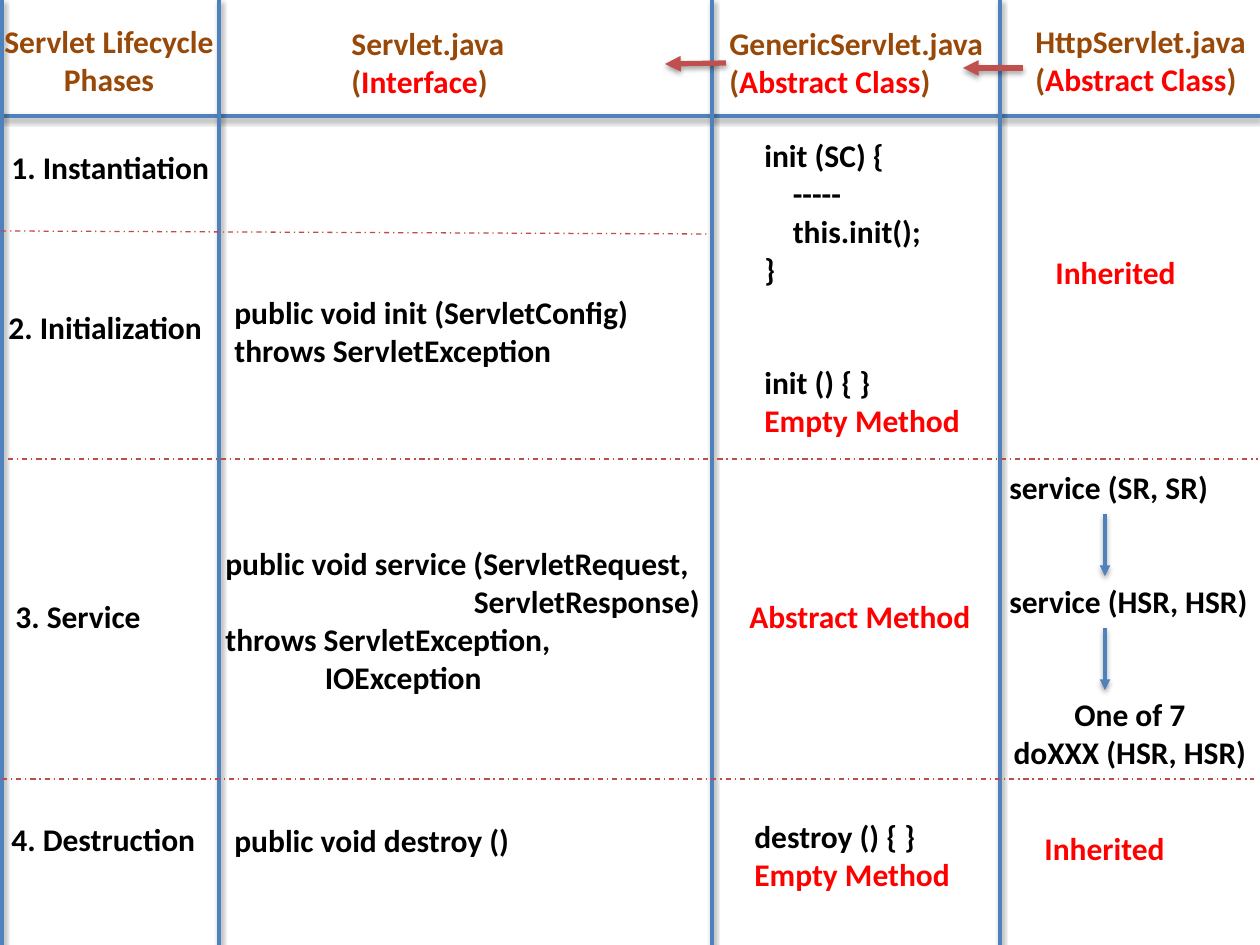
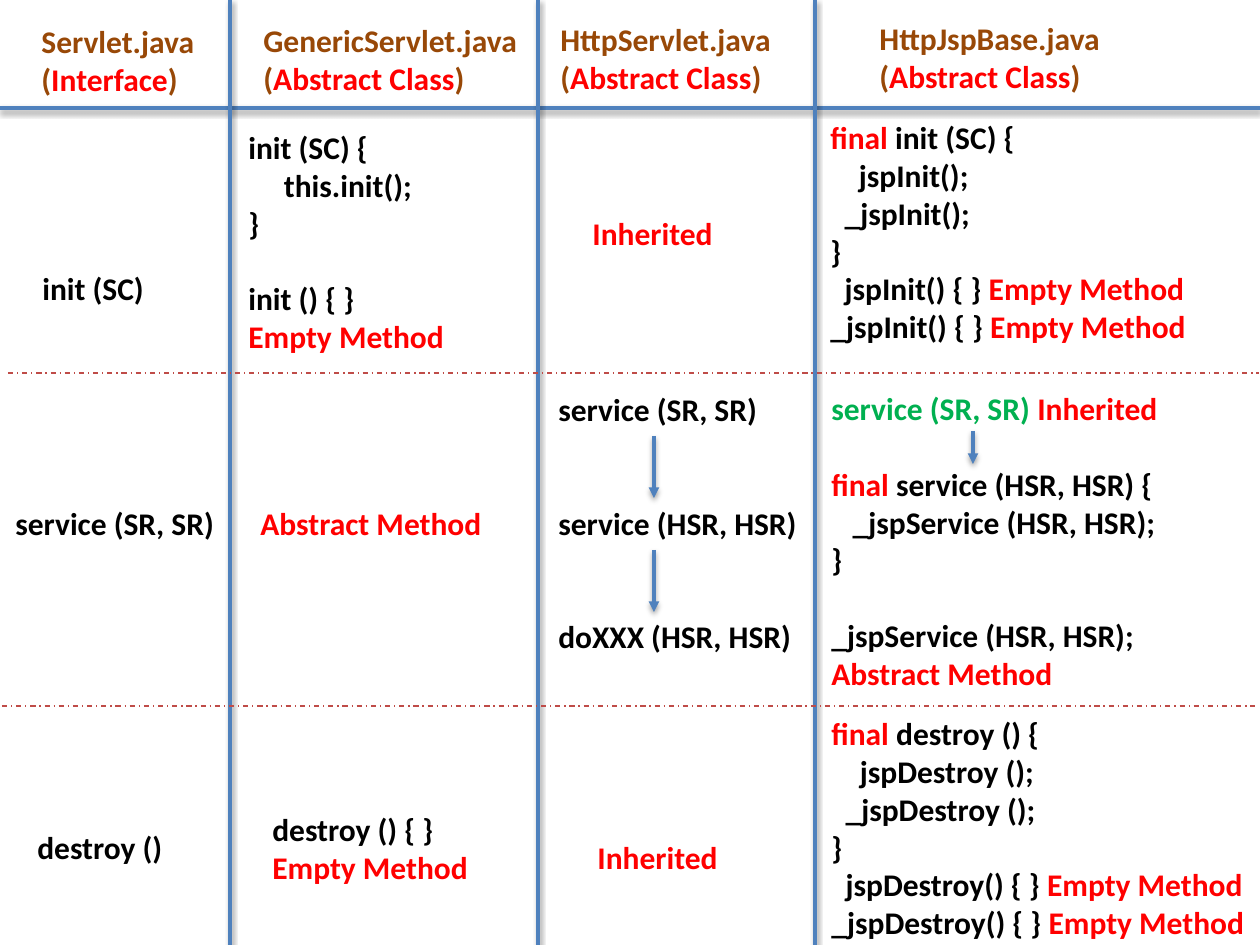
import collections

import lxml.etree
import pptx
import pptx.dml.color
import pptx.enum.dml
import pptx.enum.shapes
import pptx.enum.text
import pptx.oxml
import pptx.oxml.ns
import pptx.util

PX = 914400 / 126
FONT, SIZE = "Calibri", 18
LINE_PX, LINE_PT, SPACE_PX = 38, 21.6, 7.1
BLACK, BROWN, RED, GREEN = "000000", "984807", "FF0000", "00B050"
BLUE, BRICK, DIVIDER = "4F81BD", "C0504D", "BF4C48"
CENTER = pptx.enum.text.PP_ALIGN.CENTER

Box = collections.namedtuple("Box", "x y w h")
Line = collections.namedtuple("Line", "runs indent gap align")


def px(n):
    return pptx.util.Emu(round(n * PX))


def rgb(color):
    return pptx.dml.color.RGBColor.from_string(color)


def line(*runs, indent=0, gap=0, align=None):
    """Runs are plain strings (black) or (text, colour); indent is in spaces, gap in lines."""
    return Line([(r, BLACK) if isinstance(r, str) else r for r in runs], indent, gap, align)


def red(text):
    return text, RED


def grid(columns, rows):
    """Return a function giving the box of a cell by column and row."""
    def cell(c, r):
        return Box(columns[c], rows[r], columns[c + 1] - columns[c], rows[r + 1] - rows[r])
    return cell


def write(s, box, dx, dy, w, *lines):
    """Put lines of text at an offset inside a cell."""
    count = len(lines) + sum(ln.gap for ln in lines)
    tb = s.shapes.add_textbox(px(box.x + dx), px(box.y + dy), px(w), px(count * LINE_PX + 13))
    tf = tb.text_frame
    tf.word_wrap = True
    for i, ln in enumerate(lines):
        p = tf.paragraphs[0] if i == 0 else tf.add_paragraph()
        p.alignment = ln.align
        if ln.gap:
            p.space_before = pptx.util.Pt(ln.gap * LINE_PT)
        if ln.indent:
            pPr = p._p.get_or_add_pPr()
            pPr.set("marL", str(px(ln.indent * SPACE_PX)))
            pPr.set("indent", "0")
        for text, color in ln.runs:
            r = p.add_run()
            r.text = text
            r.font.name, r.font.size, r.font.bold = FONT, pptx.util.Pt(SIZE), True
            r.font.color.rgb = rgb(color)


def connect(s, x1, y1, x2, y2, color=BLUE, width=2, arrow=False, dashed=False):
    c = s.shapes.add_connector(pptx.enum.shapes.MSO_CONNECTOR.STRAIGHT,
                               px(x1), px(y1), px(x2), px(y2))
    c.line.color.rgb = rgb(color)
    c.line.width = pptx.util.Pt(width)
    if dashed:
        c.line.dash_style = pptx.enum.dml.MSO_LINE.DASH_DOT
    qn = pptx.oxml.ns.qn
    spPr = c._element.spPr
    if arrow:
        lxml.etree.SubElement(spPr.find(qn("a:ln")), qn("a:tailEnd"), type="triangle")
    effects = lxml.etree.SubElement(spPr, qn("a:effectLst"))
    if not dashed:
        shadow = lxml.etree.SubElement(effects, qn("a:outerShdw"), blurRad="40000",
                                       dist="20000", dir="5400000", rotWithShape="0")
        black = lxml.etree.SubElement(shadow, qn("a:srgbClr"), val=BLACK)
        lxml.etree.SubElement(black, qn("a:alpha"), val="38000")


def rules(s, columns, header_y, dividers):
    """Draw the column rules, the header rule and the dashed dividers."""
    connect(s, 0, header_y, 1260, header_y)
    for x in columns:
        connect(s, x, 0, x, 945)
    for ends in dividers:
        connect(s, *ends, color=DIVIDER, width=0.75, dashed=True)


def class_header(s, box, dx, dy, name, kind="Abstract Class"):
    write(s, box, dx, dy, 285, line((name, BROWN)),
          line(("(", BROWN), red(kind), (")", BROWN)))


def service_chain(s, box, dx, dy, *last_lines):
    """Stack the service calls with an arrow between each and the next."""
    write(s, box, dx, dy, 266, line("service (SR, SR)"),
          line("service (HSR, HSR)", gap=2), *last_lines)
    for i in range(2):
        x, y = box.x + dx + 108, box.y + dy + 52 + 114 * i
        connect(s, x, y, x, y + 62, arrow=True)


def generic_init(s, box, dx, dy, *body, gap):
    write(s, box, dx, dy, 297, line("init (SC) {"), *body, line("}"),
          line("init () { }", gap=gap), line(red("Empty Method")))


def generic_destroy(s, box, dx, dy):
    write(s, box, dx, dy, 280, line("destroy () { }"), line(red("Empty Method")))


def jsp_hooks(s, box, dx, dy, method, hook, call):
    """Show a final method that calls two empty hooks, then the hooks."""
    write(s, box, dx, dy, 460,
          line(red("final"), f" {method} {{"),
          line(hook + call, indent=4),
          line(f"_{hook}{call}", indent=2),
          line("}"),
          line(f"{hook}() {{ }} ", red("Empty Method"), indent=2),
          line(f"_{hook}() {{ }} ", red("Empty Method")))


def lifecycle_slide(s):
    columns, rows = [2, 219, 712, 1000, 1260], [0, 116, 232, 459, 779, 945]
    cell = grid(columns, rows)
    rules(s, columns[:-1], rows[1],
          [(1, 231, 710, 234), (8, 459, 1258, 459), (2, 779, 1254, 779)])

    write(s, cell(0, 0), -16, 16, 246,
          line(("Servlet Lifecycle Phases", BROWN), align=CENTER))
    class_header(s, cell(1, 0), 120, 18, "Servlet.java", "Interface")
    class_header(s, cell(2, 0), 5, 18, "GenericServlet.java")
    class_header(s, cell(3, 0), 23, 16, "HttpServlet.java")
    connect(s, 1023, 68, 963, 68, BRICK, 3, arrow=True)
    connect(s, 726, 63, 665, 64, BRICK, 3, arrow=True)

    phases = [("Instantiation", -3, 26), ("Initialization", -6, 70),
              ("Service", 1, 132), ("Destruction", -3, 35)]
    for n, (phase, dx, dy) in enumerate(phases, 1):
        write(s, cell(0, n), dx, dy, 226, line(f"{n}. {phase}"))

    write(s, cell(1, 2), 3, 55, 449, line("public void init (ServletConfig)"),
          line("throws ServletException"))
    write(s, cell(1, 3), -6, 79, 527,
          line("public void service (ServletRequest,"),
          line("ServletResponse)", indent=35),
          line("throws ServletException,"),
          line("IOException", indent=14))
    write(s, cell(1, 4), 3, 36, 311, line("public void destroy ()"))

    generic_init(s, cell(2, 1), 40, 14, line("-----", indent=4),
                 line("this.init();", indent=4), gap=2)
    write(s, cell(2, 3), 25, 132, 260, line(red("Abstract Method")))
    generic_destroy(s, cell(2, 4), 30, 32)

    write(s, cell(3, 1), 43, 131, 160, line(red("Inherited")))
    service_chain(s, cell(3, 3), -3, 3, line("One of 7", gap=2, align=CENTER),
                  line("doXXX (HSR, HSR)", align=CENTER))
    write(s, cell(3, 4), 32, 44, 160, line(red("Inherited")))


def jsp_base_slide(s):
    columns, rows = [0, 230, 538, 815, 1260], [0, 108, 373, 706, 945]
    cell = grid(columns, rows)
    rules(s, columns[1:-1], rows[1], [(8, 373, 1259, 373), (2, 706, 1255, 706)])

    class_header(s, cell(0, 0), 29, 16, "Servlet.java", "Interface")
    class_header(s, cell(1, 0), 21, 15, "GenericServlet.java")
    class_header(s, cell(2, 0), 10, 14, "HttpServlet.java")
    class_header(s, cell(3, 0), 52, 13, "HttpJspBase.java")

    methods = [("init (SC)", 30, 155), ("service (SR, SR)", 3, 125), ("destroy ()", 25, 116)]
    for n, (method, dx, dy) in enumerate(methods, 1):
        write(s, cell(0, n), dx, dy, 228, line(method))

    generic_init(s, cell(1, 1), 6, 14, line("this.init();", indent=5), gap=1)
    write(s, cell(1, 2), 18, 125, 260, line(red("Abstract Method")))
    generic_destroy(s, cell(1, 3), 30, 98)

    write(s, cell(2, 1), 42, 100, 160, line(red("Inherited")))
    service_chain(s, cell(2, 2), 8, 11, line("doXXX (HSR, HSR)", gap=2))
    write(s, cell(2, 3), 47, 126, 160, line(red("Inherited")))

    jsp_hooks(s, cell(3, 1), 3, 4, "init (SC)", "jspInit", "();")
    write(s, cell(3, 2), 4, 10, 393,
          line(("service (SR, SR) ", GREEN), red("Inherited")),
          line(red("final"), " service (HSR, HSR) {", gap=1),
          line("_jspService (HSR, HSR);", indent=3),
          line("}"),
          line("_jspService (HSR, HSR);", gap=1),
          line(red("Abstract Method")))
    connect(s, 973, 431, 973, 464, arrow=True)
    jsp_hooks(s, cell(3, 3), 4, 2, "destroy ()", "jspDestroy", " ();")


def main():
    prs = pptx.Presentation()
    prs.slide_width, prs.slide_height = px(1260), px(945)
    blank = prs.slide_layouts[6]
    for build in (lifecycle_slide, jsp_base_slide):
        build(prs.slides.add_slide(blank))
    prs.save("out.pptx")


if __name__ == "__main__":
    main()
